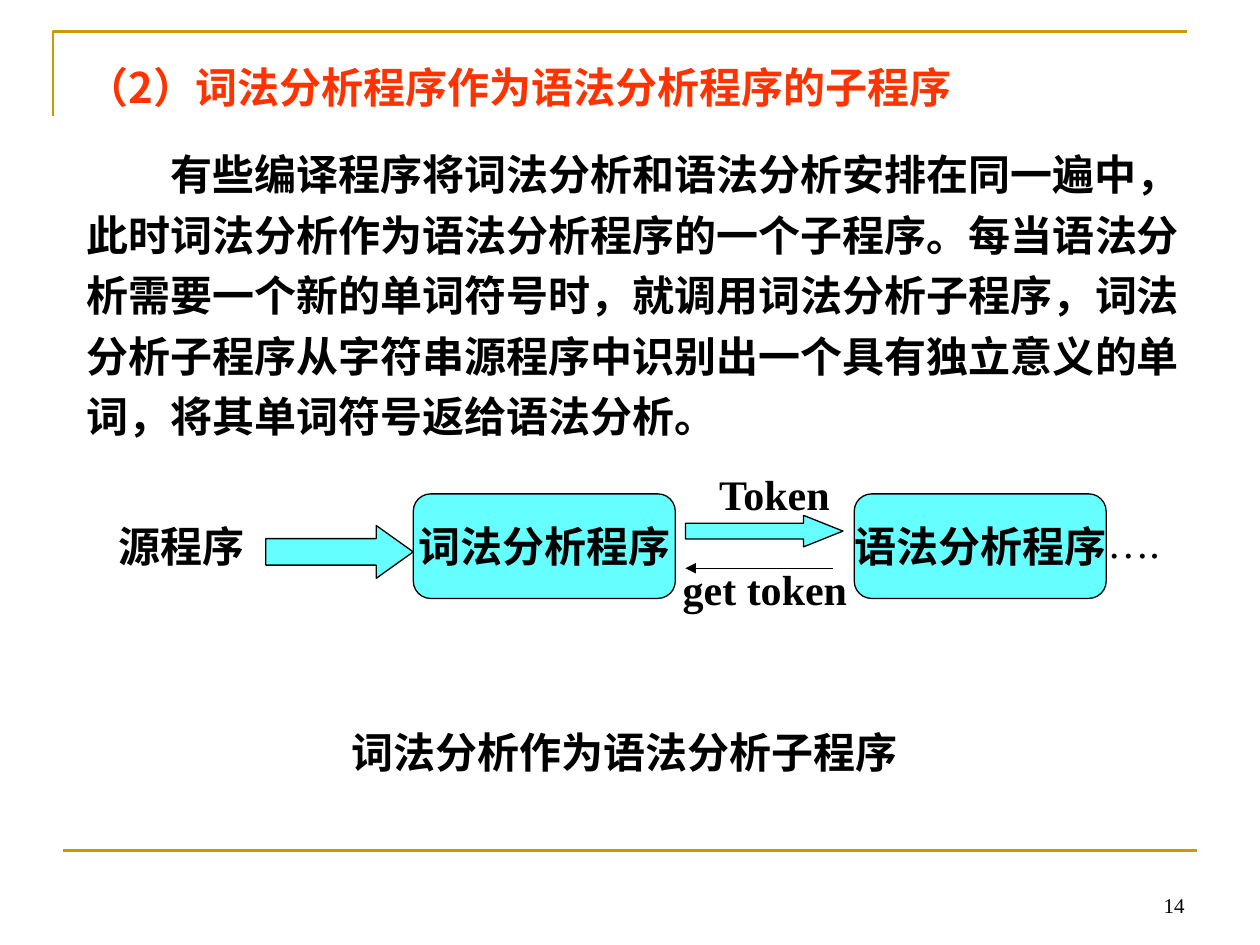
from dataclasses import dataclass

from lxml.etree import SubElement
from pptx import Presentation
from pptx.dml.color import RGBColor
from pptx.enum.shapes import MSO_CONNECTOR, MSO_SHAPE
from pptx.enum.text import MSO_ANCHOR, MSO_AUTO_SIZE, PP_ALIGN
from pptx.oxml.ns import qn
from pptx.util import Inches, Pt


@dataclass(frozen=True)
class Theme:
    ink: RGBColor = RGBColor(0, 0, 0)
    paper: RGBColor = RGBColor(255, 255, 255)
    gold: RGBColor = RGBColor(0xCC, 0x99, 0x00)
    red: RGBColor = RGBColor(0xFF, 0x33, 0x00)
    aqua: RGBColor = RGBColor(0x66, 0xFF, 0xFF)
    main: Pt = Pt(24)
    small: Pt = Pt(12)
    thin: Pt = Pt(0.75)
    thick: Pt = Pt(1.5)
    latin: str = "Times New Roman"
    asian: str = "Noto Sans CJK SC"


THEME = Theme()
TITLE = "（2）词法分析程序作为语法分析程序的子程序"
BODY = (
    "有些编译程序将词法分析和语法分析安排在同一遍中，此时词法分析作为语法分析程序的一个子程序。"
    "每当语法分析需要一个新的单词符号时，就调用词法分析子程序，"
    "词法分析子程序从字符串源程序中识别出一个具有独立意义的单词，将其单词符号返给语法分析。"
)


def assign(item, values):
    for name, value in values.items():
        setattr(item, name, value)


def place(item, box):
    names = ("left", "top", "width", "height")
    assign(item, dict(zip(names, map(Inches, box))))


def write(shape, text, frame=None, para=None, font=None):
    base = {"word_wrap": True, "auto_size": MSO_AUTO_SIZE.NONE,
            "vertical_anchor": MSO_ANCHOR.TOP}
    assign(shape.text_frame, base | (frame or {}))
    line = shape.text_frame.paragraphs[0]
    assign(line, {"alignment": PP_ALIGN.LEFT, "space_before": Pt(0)} | (para or {}))
    run = line.add_run()
    run.text = text
    look = {"size": THEME.main, "bold": True, "name": THEME.latin, "color": THEME.ink}
    look |= font or {}
    run.font.color.rgb = look.pop("color")
    assign(run.font, look)
    SubElement(run.font._element, qn("a:ea"), typeface=THEME.asian)
    return line


def label(slide, box, text, **kinds):
    shape = slide.shapes.add_textbox(*map(Inches, box))
    write(shape, text, **kinds)


def stroke(item, color, width):
    item.line.color.rgb = color
    item.line.width = width


def rule(slide, start, end, color, width):
    line = slide.shapes.add_connector(
        MSO_CONNECTOR.STRAIGHT, *map(Inches, (*start, *end)))
    stroke(line, color, width)
    SubElement(line._element.spPr, qn("a:effectLst"))
    return line


def block(slide, kind, box, fill, edge):
    shape = slide.shapes.add_shape(kind, *map(Inches, box))
    shape.shadow.inherit = False
    shape.fill.solid()
    shape.fill.fore_color.rgb = fill
    stroke(shape, edge, THEME.thin)
    return shape


def draw_frame(slide, box):
    left, top, width, height = box
    path = slide.shapes.build_freeform(Inches(left), Inches(top + 0.67))
    path.add_line_segments(
        [(Inches(left), Inches(top)), (Inches(left + 9), Inches(top))], close=False)
    edge = path.convert_to_shape()
    edge.shadow.inherit = False
    edge.fill.background()
    stroke(edge, THEME.gold, THEME.thick)
    base, right = top + height, left + width
    rule(slide, (right - 9, base), (right, base), THEME.gold, THEME.thick)


def draw_text(slide, box):
    left, top, width, height = box
    title, body = slide.placeholders
    place(title, (left, top, width, 0.5))
    write(title, TITLE, font={"name": THEME.asian, "color": THEME.red})
    place(body, (left, top + 0.61, width, height - 0.61))
    line = write(body, BODY, para={"line_spacing": 1.2}, font={"name": THEME.asian})
    props = line._element.get_or_add_pPr()
    props.set("marL", "0")
    props.set("indent", str(THEME.main * 2))
    SubElement(props, qn("a:buNone"))


def draw_flow(slide, box):
    left, top, width, height = box
    nodes = (
        (0, 1.17, "源程序", THEME.paper, THEME.paper),
        (2.42, 2.08, "词法分析程序", THEME.aqua, THEME.ink),
        (5.92, 2, "语法分析程序", THEME.aqua, THEME.ink),
    )
    for dx, wide, text, fill, edge in nodes:
        node = block(slide, MSO_SHAPE.ROUNDED_RECTANGLE,
                     (left + dx, top + 0.25, wide, 0.83), fill, edge)
        write(node, text,
              frame={"word_wrap": False, "vertical_anchor": MSO_ANCHOR.MIDDLE},
              para={"alignment": PP_ALIGN.CENTER})
    for dx, dy, wide, high, head in ((1.25, 0.5, 1.17, 0.42, 0.7),
                                     (4.58, 0.42, 1.25, 0.25, 1.25)):
        arrow = block(slide, MSO_SHAPE.RIGHT_ARROW,
                      (left + dx, top + dy, wide, high), THEME.aqua, THEME.ink)
        arrow.adjustments[1] = head
    back = rule(slide, (left + 5.75, top + 0.84), (left + 4.58, top + 0.84),
                THEME.ink, THEME.thin)
    SubElement(back.line._get_or_add_ln(), qn("a:tailEnd"), type="triangle")
    for dx, dy, wide, text, bold in ((4.75, 0, 1.11, "Token", True),
                                     (4.46, 0.75, 1.5, "get token", True),
                                     (7.83, 0.38, 0.61, "….", False)):
        label(slide, (left + dx, top + dy, wide, 0.5), text,
              frame={"word_wrap": False}, font={"bold": bold})


def draw_notes(slide, box):
    left, top, width, height = box
    label(slide, (left, top, 5.69, 0.5), "词法分析作为语法分析子程序")
    label(slide, (left + width - 2.33, top + height - 0.5, 2.33, 0.5), "14",
          frame={"vertical_anchor": MSO_ANCHOR.BOTTOM},
          para={"alignment": PP_ALIGN.RIGHT},
          font={"size": THEME.small, "bold": False})


def main():
    deck = Presentation()
    assign(deck, {"slide_width": Inches(10), "slide_height": Inches(7.5)})
    slide = deck.slides.add_slide(deck.slide_layouts[1])
    draw_frame(slide, (0.42, 0.25, 9.08, 6.5))
    draw_text(slide, (0.59, 0.44, 9.06, 3.11))
    draw_flow(slide, (0.86, 3.67, 8.44, 1.25))
    draw_notes(slide, (2.69, 5.72, 6.81, 1.61))
    deck.save("out.pptx")


if __name__ == "__main__":
    main()
